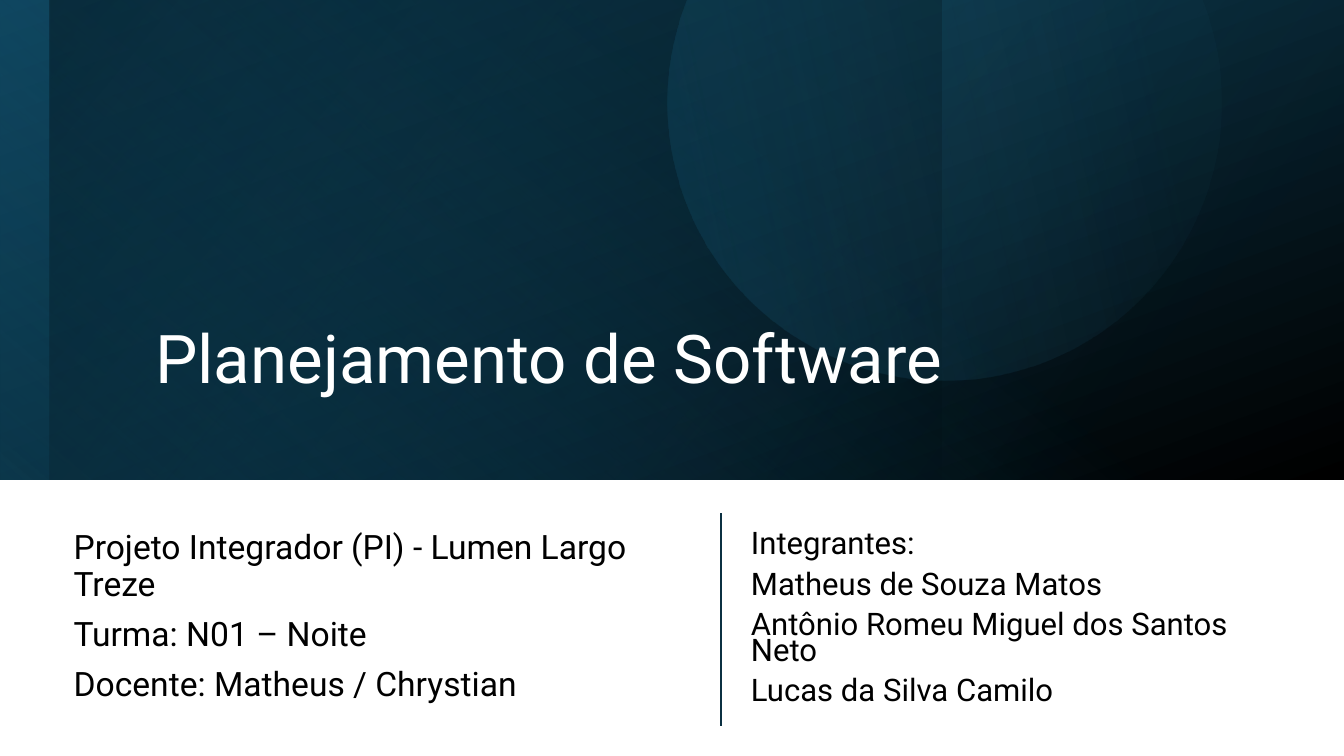
import math

import lxml.etree
import pptx
import pptx.dml.color
import pptx.enum.shapes
import pptx.enum.text
import pptx.oxml.ns
import pptx.util

RGB = pptx.dml.color.RGBColor
SCALE = 9144  # EMU per px, 100 px to the inch

WHITE = RGB(0xFF, 0xFF, 0xFF)
BLACK = RGB(0x00, 0x00, 0x00)
NAVY = RGB(0x0B, 0x30, 0x41)
DEEP = RGB(0x10, 0x48, 0x62)
TEAL = RGB(0x15, 0x60, 0x82)
SKY = RGB(0x46, 0xB1, 0xE1)

# box, rotation, gradient angle, stops of (position %, colour, opacity %)
BANDS = [
    ((0, -2, 1333, 478), 180, 250, [(0, DEEP, 100), (100, BLACK, 100)]),
    ((427, -430, 478, 1333), 90, 40, [(40, TEAL, 0), (100, DEEP, 52)]),
    ((452, -405, 478, 1284), 90, 130, [(17, TEAL, 0), (100, BLACK, 37)]),
    ((0, -2, 934, 478), 0, 310, [(0, NAVY, 0), (100, BLACK, 25)]),
]
COURSE = [
    "Projeto Integrador (PI) - Lumen Largo Treze",
    "Turma: N01 – Noite",
    "Docente: Matheus / Chrystian",
]
TEAM = [
    "Integrantes:",
    "Matheus de Souza Matos",
    "Antônio Romeu Miguel dos Santos Neto",
    "Lucas da Silva Camilo",
]


def px(num):
    return pptx.util.Emu(num * SCALE)


def assign(item, values):
    for name, value in values.items():
        setattr(item, name, value)


def node(parent, tag, **attrs):
    """Add a DrawingML child element."""
    attrs = {key: str(value) for key, value in attrs.items()}
    return lxml.etree.SubElement(parent, pptx.oxml.ns.qn("a:" + tag), attrs)


def shade(shape, angle, stops):
    """Give a shape a clockwise linear gradient with opacity, and no outline."""
    shape.shadow.inherit = False
    shape.line.fill.background()
    shape.fill.background()
    props = shape._element.spPr
    blank = props.find(pptx.oxml.ns.qn("a:noFill"))
    grad = node(props, "gradFill", rotWithShape=1)
    props.replace(blank, grad)
    items = node(grad, "gsLst")
    for place, color, alpha in stops:
        stop = node(items, "gs", pos=place * 1000)
        tint = node(stop, "srgbClr", val=color)
        node(tint, "alpha", val=alpha * 1000)
    node(grad, "lin", ang=angle * 60000, scaled=0)


def band(slide, box, turn, angle, stops):
    kind = pptx.enum.shapes.MSO_SHAPE.RECTANGLE
    shape = slide.shapes.add_shape(kind, *map(px, box))
    shape.rotation = turn
    shade(shape, angle, stops)


def disc(slide, left, top, radius, angle, stops):
    """Draw a disc around (left, top), cut off by the slide's upper edge."""
    start = -math.asin(top / radius)
    sweep = math.pi - 2 * start
    steps = 120
    turns = [start + sweep * step / steps for step in range(steps + 1)]
    dots = [
        (round((left + radius * math.cos(turn)) * SCALE),
         round((top + radius * math.sin(turn)) * SCALE))
        for turn in turns
    ]
    form = slide.shapes.build_freeform(*dots[0])
    form.add_line_segments(dots[1:], close=True)
    shade(form.convert_to_shape(), angle, stops)


def write(shape, box, lines, size, color, anchor, style):
    names = ("left", "top", "width", "height")
    assign(shape, dict(zip(names, map(px, box))))
    frame = shape.text_frame
    assign(frame, {
        "text": "\n".join(lines),
        "word_wrap": True,
        "auto_size": pptx.enum.text.MSO_AUTO_SIZE.NONE,
        "vertical_anchor": anchor,
    })
    for para in frame.paragraphs:
        assign(para, {"alignment": pptx.enum.text.PP_ALIGN.LEFT, **style})
        font = para.runs[0].font
        assign(font, {"name": "Roboto", "size": pptx.util.Pt(size)})
        font.color.rgb = color


def rule(slide, left, top, end):
    kind = pptx.enum.shapes.MSO_CONNECTOR.STRAIGHT
    line = slide.shapes.add_connector(kind, px(left), px(top), px(left), px(end))
    line.line.width = pptx.util.Pt(1.5)
    line.line.color.rgb = NAVY
    node(line._element.spPr, "effectLst")


def main():
    deck = pptx.Presentation()
    assign(deck, {"slide_width": px(1333), "slide_height": px(750)})
    slide = deck.slides.add_slide(deck.slide_layouts[0])
    title, body = slide.placeholders

    for item in BANDS:
        band(slide, *item)
    disc(slide, 937, 102, 275, 348, [(0, TEAL, 22), (87, SKY, 2)])
    for shape in (title, body):
        slide.shapes._spTree.append(shape._element)  # bring to front

    anchor = pptx.enum.text.MSO_ANCHOR
    gap = pptx.util.Pt(10)
    write(title, (144, 80, 1099, 320), ["Planejamento de Software"], 48, WHITE,
          anchor.BOTTOM, {"line_spacing": 0.9})
    write(body, (63, 533, 624, 159), COURSE, 24, BLACK,
          anchor.MIDDLE, {"line_spacing": 0.9, "space_before": gap})
    team = slide.shapes.add_textbox(0, 0, 0, 0)
    write(team, (735, 536, 547, 159), TEAM, 22.2, BLACK,
          anchor.MIDDLE, {"line_spacing": 0.7, "space_before": gap})
    rule(slide, 715, 509, 720)
    deck.save("out.pptx")


if __name__ == "__main__":
    main()
